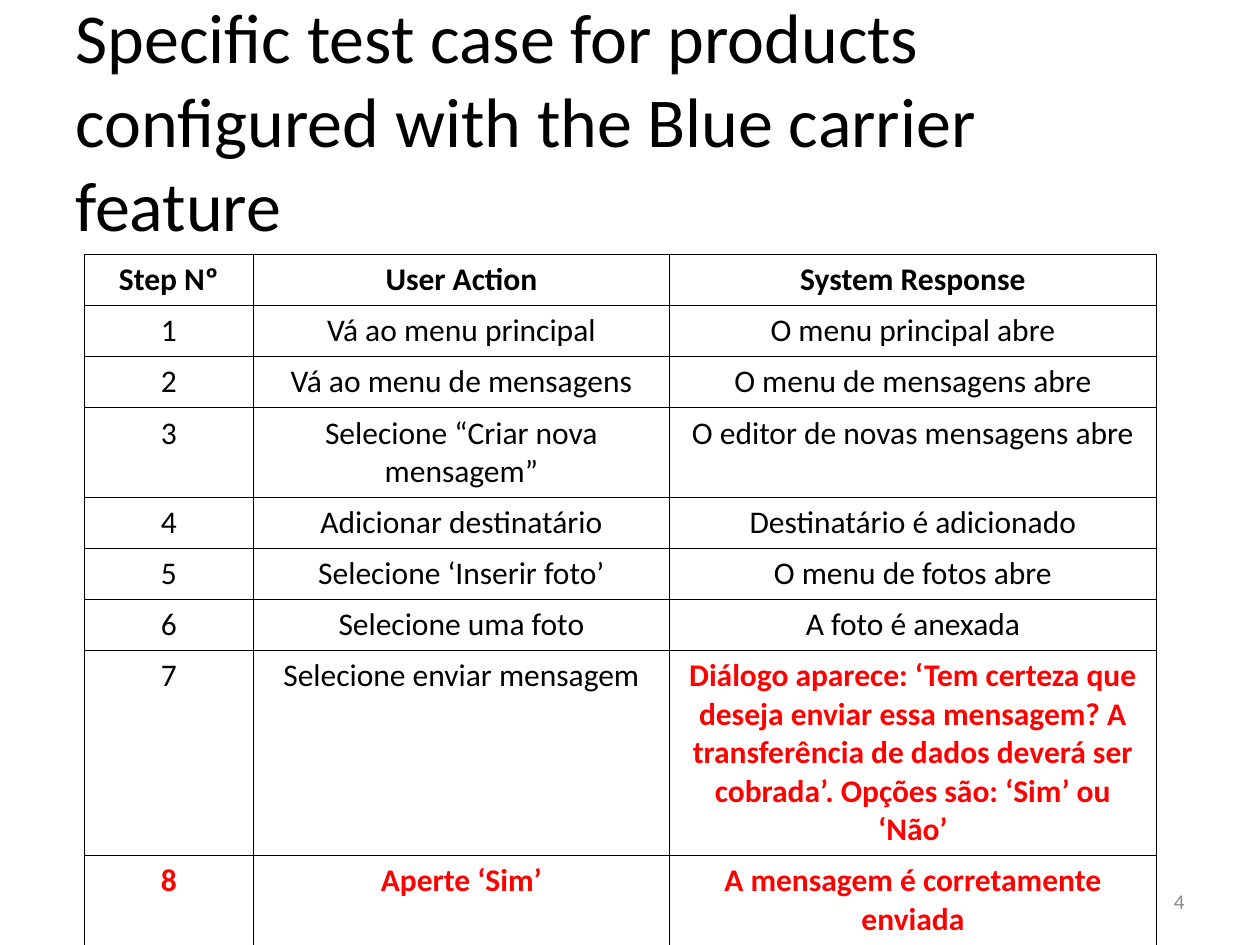
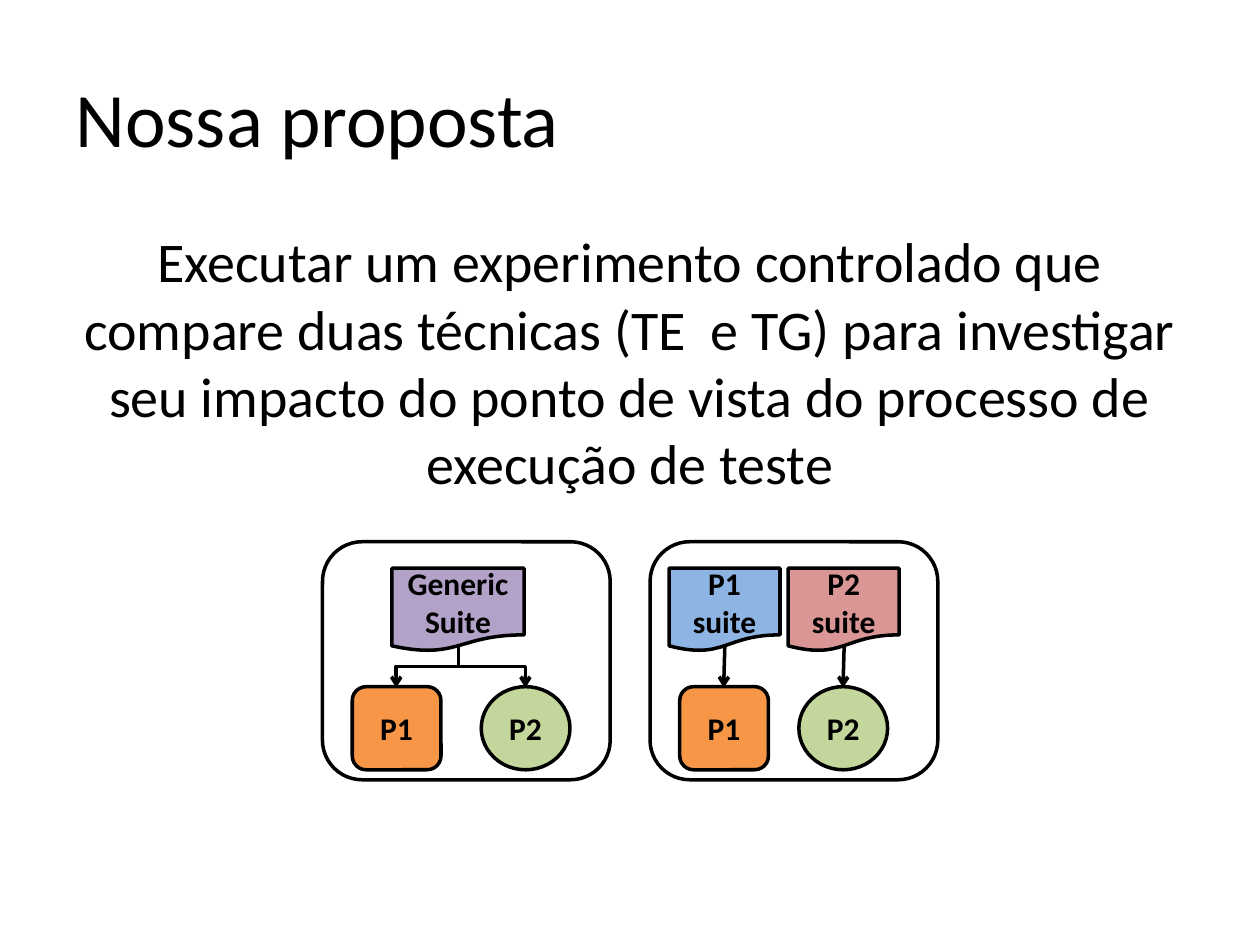
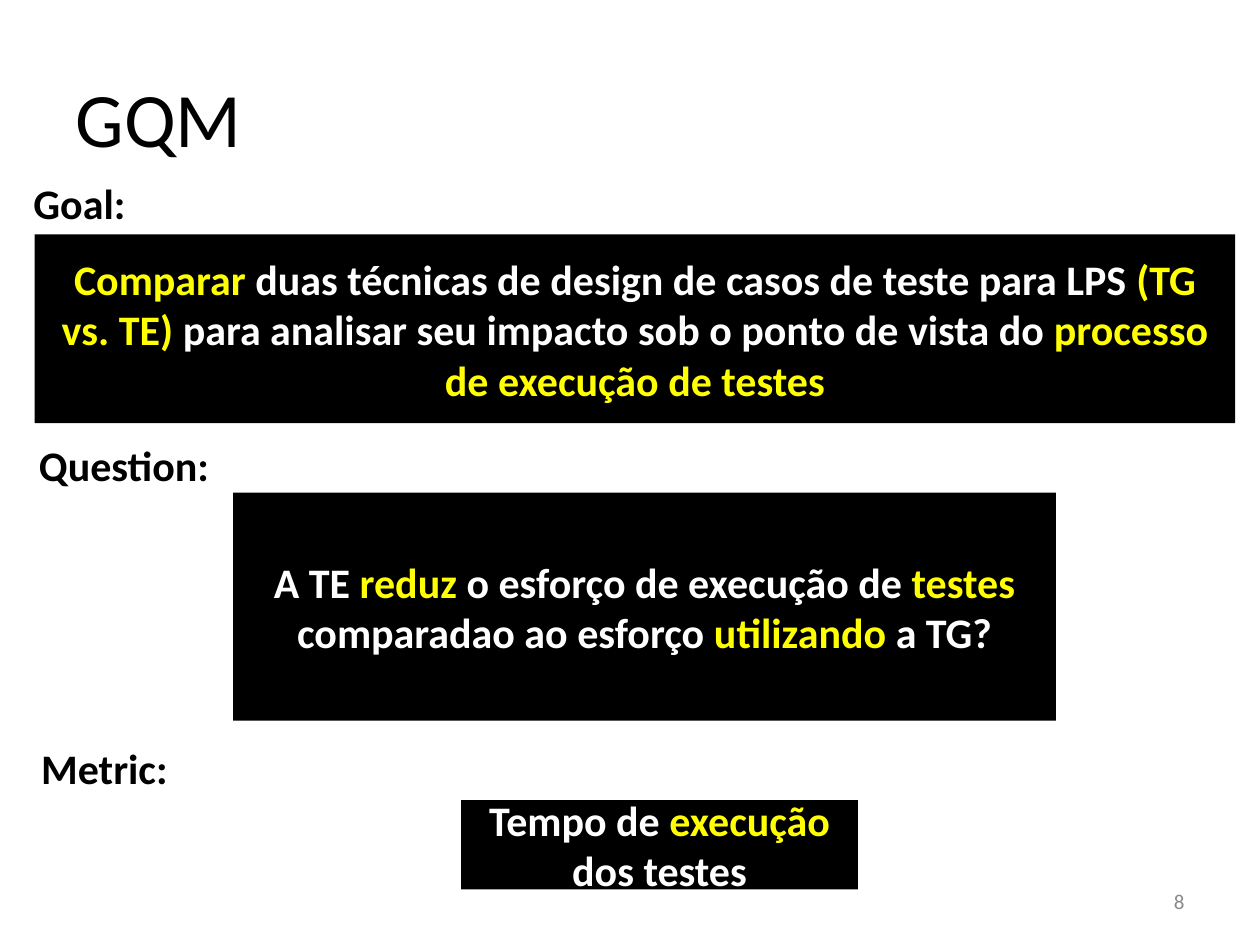
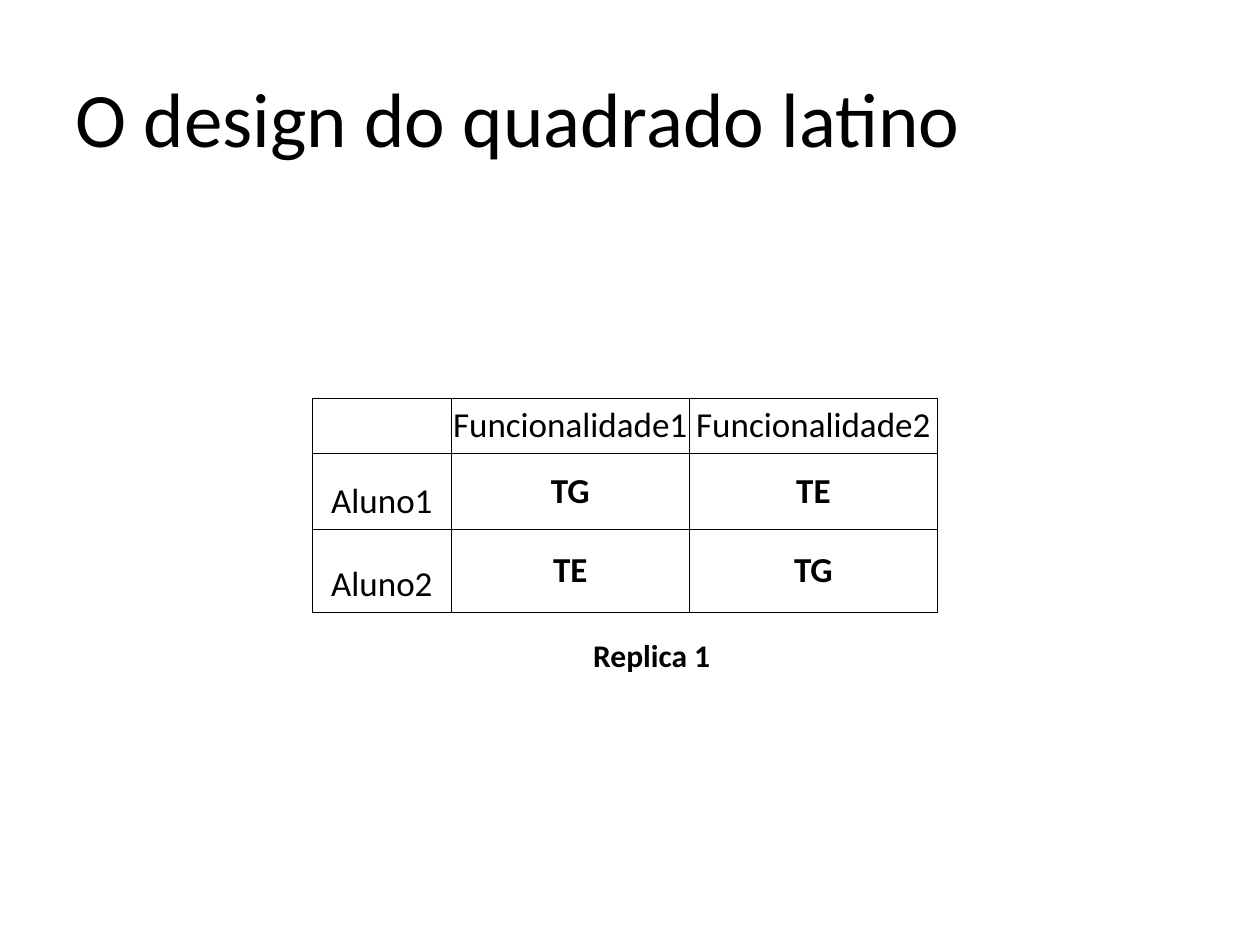
from pptx import Presentation
from pptx.dml.color import RGBColor
from pptx.enum.shapes import MSO_CONNECTOR, MSO_SHAPE
from pptx.enum.text import MSO_ANCHOR, MSO_AUTO_SIZE, PP_ALIGN
from pptx.oxml.ns import qn
from pptx.util import Pt
from lxml.etree import SubElement

FONT = "Calibri"
BLACK = RGBColor(0x00, 0x00, 0x00)
WHITE = RGBColor(0xFF, 0xFF, 0xFF)
GREY = RGBColor(0x89, 0x89, 0x89)
RED = RGBColor(0xFF, 0x00, 0x00)
YELLOW = RGBColor(0xFF, 0xFF, 0x00)
PURPLE = RGBColor(0xB3, 0xA2, 0xC7)
BLUE = RGBColor(0x8E, 0xB4, 0xE3)
PINK = RGBColor(0xD9, 0x96, 0x94)
ORANGE = RGBColor(0xF7, 0x96, 0x46)
GREEN = RGBColor(0xC3, 0xD6, 0x9B)

TITLE_BOX = (36, 21.6, 648, 90)
LINE_WIDTH = 2
BORDER_WIDTH = 0.45


def set_text(tf, text, size=18, color=BLACK, bold=False, align=PP_ALIGN.CENTER,
             anchor=MSO_ANCHOR.MIDDLE, mark=BLACK):
    """Write one paragraph; parts between asterisks are bold in the mark colour."""
    tf.word_wrap = True
    tf.vertical_anchor = anchor
    p = tf.paragraphs[0]
    p.alignment = align
    for i, part in enumerate(text.split("*")):
        if part:
            marked = i % 2 == 1
            r = p.add_run()
            r.text = part
            r.font.name = FONT
            r.font.size = Pt(size)
            r.font.bold = bold or marked
            r.font.color.rgb = mark if marked else color
    return p


def place(sp, box):
    sp.left, sp.top, sp.width, sp.height = map(Pt, box)


class Deck:
    def __init__(self):
        self.prs = Presentation()
        self.prs.slide_width, self.prs.slide_height = Pt(720), Pt(540)
        self.s = None

    def slide(self, title, layout=5, size=44, box=TITLE_BOX):
        self.s = self.prs.slides.add_slide(self.prs.slide_layouts[layout])
        sp = self.s.shapes.title
        place(sp, box)
        sp.text_frame.auto_size = MSO_AUTO_SIZE.NONE
        set_text(sp.text_frame, title, size=size, align=PP_ALIGN.LEFT)

    def body(self, text, box):
        sp = self.s.placeholders[1]
        place(sp, box)
        sp.text_frame.auto_size = MSO_AUTO_SIZE.NONE
        p = set_text(sp.text_frame, text, size=32, anchor=MSO_ANCHOR.TOP)
        p.space_before = Pt(8)
        pPr = p._p.get_or_add_pPr()
        pPr.set("marL", "0")
        pPr.set("indent", "0")
        SubElement(pPr, qn("a:buNone"))

    def label(self, text, box, grow=True, **fmt):
        tf = self.s.shapes.add_textbox(*map(Pt, box)).text_frame
        set_text(tf, text, **fmt)
        tf.auto_size = MSO_AUTO_SIZE.SHAPE_TO_FIT_TEXT if grow else MSO_AUTO_SIZE.NONE

    def number(self, n):
        self.label(str(n), (516, 500.4, 168, 28.8), grow=False, size=12,
                   color=GREY, align=PP_ALIGN.RIGHT)

    def shape(self, kind, box, fill=None, text="", outline=True, **fmt):
        sp = self.s.shapes.add_shape(kind, *map(Pt, box))
        sp.shadow.inherit = False
        if fill is None:
            sp.fill.background()
        else:
            sp.fill.solid()
            sp.fill.fore_color.rgb = fill
        if outline:
            sp.line.color.rgb = BLACK
            sp.line.width = Pt(LINE_WIDTH)
        else:
            sp.line.fill.background()
        if text:
            set_text(sp.text_frame, text, bold=True, **fmt)

    def arrow(self, x1, y1, x2, y2, elbow=False):
        kind, rot = MSO_CONNECTOR.STRAIGHT, 0
        if elbow:
            # A vertical-first elbow is a horizontal one, turned about its centre
            cx, cy, w, h = (x1 + x2) / 2, (y1 + y2) / 2, abs(x2 - x1), y2 - y1
            kind, rot = MSO_CONNECTOR.ELBOW, 90 if x2 < x1 else 270
            side = h / 2 if x2 < x1 else -h / 2
            x1, y1, x2, y2 = cx - side, cy - w / 2, cx + side, cy + w / 2
        c = self.s.shapes.add_connector(kind, Pt(x1), Pt(y1), Pt(x2), Pt(y2))
        c.line.color.rgb = BLACK
        c.line.width = Pt(LINE_WIDTH)
        spPr = c._element.spPr
        if rot:
            spPr.find(qn("a:xfrm")).set("rot", str(rot * 60000))
        SubElement(spPr.find(qn("a:ln")), qn("a:tailEnd"), type="arrow")
        SubElement(spPr, qn("a:effectLst"))

    def table(self, rows, left, top, widths, heights, margin=7.2,
              anchor=MSO_ANCHOR.TOP, bold_head=False, **fmt):
        frame = self.s.shapes.add_table(len(rows), len(widths), Pt(left), Pt(top),
                                        Pt(sum(widths)), Pt(sum(heights)))
        tbl = frame.table
        tbl.first_row = tbl.horz_banding = False
        for col, w in zip(tbl.columns, widths):
            col.width = Pt(w)
        for i, (row, h) in enumerate(zip(rows, heights)):
            tbl.rows[i].height = Pt(h)
            for j, text in enumerate(row):
                cell = tbl.cell(i, j)
                cell.margin_left = cell.margin_right = Pt(margin)
                cell.fill.background()
                self.borders(cell)
                set_text(cell.text_frame, text, bold=bold_head and i == 0, **fmt)
                marked = text.startswith("*")
                cell.vertical_anchor = (MSO_ANCHOR.MIDDLE if marked and
                                        anchor == MSO_ANCHOR.BOTTOM else anchor)

    def borders(self, cell):
        tcPr = cell._tc.get_or_add_tcPr()
        for i, side in enumerate(("lnL", "lnR", "lnT", "lnB")):
            ln = SubElement(tcPr, qn(f"a:{side}"), w=str(Pt(BORDER_WIDTH)))
            fill = SubElement(ln, qn("a:solidFill"))
            SubElement(fill, qn("a:srgbClr"), val=str(BLACK))
            tcPr.insert(i, ln)


def test_case(d):
    d.slide("Specific test case for products configured with the Blue carrier feature",
            size=40, box=(36, 9.4, 648, 118))
    d.number(4)
    steps = [
        ("Step Nº", "User Action", "System Response"),
        ("1", "Vá ao menu principal", "O menu principal abre"),
        ("2", "Vá ao menu de mensagens", "O menu de mensagens abre"),
        ("3", "Selecione “Criar nova mensagem”", "O editor de novas mensagens abre"),
        ("4", "Adicionar destinatário", "Destinatário é adicionado"),
        ("5", "Selecione ‘Inserir foto’", "O menu de fotos abre"),
        ("6", "Selecione uma foto", "A foto é anexada"),
        ("7", "Selecione enviar mensagem",
         "*Diálogo aparece: ‘Tem certeza que deseja enviar essa mensagem? A "
         "transferência de dados deverá ser cobrada’. Opções são: ‘Sim’ ou ‘Não’*"),
        ("*8*", "*Aperte ‘Sim’*", "*A mensagem é corretamente enviada*"),
    ]
    one, two, five = 29.2, 51, 117
    d.table(steps, 48.2, 145.4, (96.5, 238, 278),
            (one, one, one, two, one, one, one, five, two), bold_head=True, mark=RED)


def proposal(d):
    d.slide("Nossa proposta", layout=1)
    d.body("Executar um experimento controlado que compare duas técnicas (TE  e TG) "
           "para investigar seu impacto do ponto de vista do processo de execução "
           "de teste", (36, 126, 648, 356.4))
    suite_y, product_y, height = 324.7, 392.4, 47.5
    arrow_y = (368.6, 393)

    # Test suites
    for x, w, fill, text in ((223.9, 75.6, PURPLE, "Generic Suite"),
                             (382.3, 63.4, BLUE, "P1 suite"),
                             (450.4, 63.4, PINK, "P2 suite")):
        d.shape(MSO_SHAPE.FLOWCHART_DOCUMENT, (x, suite_y, w, height), fill, text)

    # Products
    for x1, x2 in ((201.3, 275), (388.4, 456.5)):
        d.shape(MSO_SHAPE.FLOWCHART_ALTERNATE_PROCESS,
                (x1, product_y, 50.7, height), ORANGE, "P1")
        d.shape(MSO_SHAPE.OVAL, (x2, product_y, 50.7, height), GREEN, "P2")

    # Arrows from suites to products
    for x1, x2, elbow in ((261.9, 226.4, True), (261.9, 300.2, True),
                          (414.2, 413.5, False), (482.4, 481.7, False)):
        d.arrow(x1, arrow_y[0], x2, arrow_y[1], elbow)

    # Frames of the two techniques
    for x in (184.3, 371.5):
        d.shape(MSO_SHAPE.ROUNDED_RECTANGLE, (x, 309.6, 164.4, 136))


def gqm(d):
    d.slide("GQM")
    d.number(8)
    parts = [
        ("Goal:", (2.9, 97.9, 85, 36), (19.8, 133.9, 686, 108),
         "*Comparar *duas técnicas de design de casos de teste para LPS *(TG vs. TE)* "
         "para analisar seu impacto sob o ponto de vista do* processo de execução "
         "de testes*"),
        ("Question:", (8.6, 247.7, 124.6, 36), (133.2, 281.5, 470.2, 130.3),
         "A TE *reduz* o esforço de execução de *testes* comparadao ao esforço "
         "*utilizando *a TG?"),
        ("Metric:", (8.6, 420.5, 102.2, 36), (263.5, 457.2, 226.8, 51),
         "Tempo de *execução *dos testes"),
    ]
    for name, name_box, box, text in parts:
        d.label(name, name_box, size=24, bold=True, anchor=MSO_ANCHOR.TOP)
        d.shape(MSO_SHAPE.RECTANGLE, box, BLACK, text, outline=False,
                size=24, color=WHITE, mark=YELLOW)


def latin_square(d):
    d.slide("O design do quadrado latino")
    rows = [("", "Funcionalidade1", "Funcionalidade2"),
            ("Aluno1", "*TG*", "*TE*"),
            ("Aluno2", "*TE*", "*TG*")]
    d.table(rows, 178.6, 227.5, (79.2, 136.1, 141.8), (24.5, 43.2, 47.5),
            margin=0.7, anchor=MSO_ANCHOR.BOTTOM, size=20)
    d.label("Replica 1", (331.9, 360, 90.7, 28.8), bold=True,
            align=PP_ALIGN.LEFT, anchor=MSO_ANCHOR.TOP)


def main():
    d = Deck()
    for build in (test_case, proposal, gqm, latin_square):
        build(d)
    d.prs.save("out.pptx")


if __name__ == "__main__":
    main()
